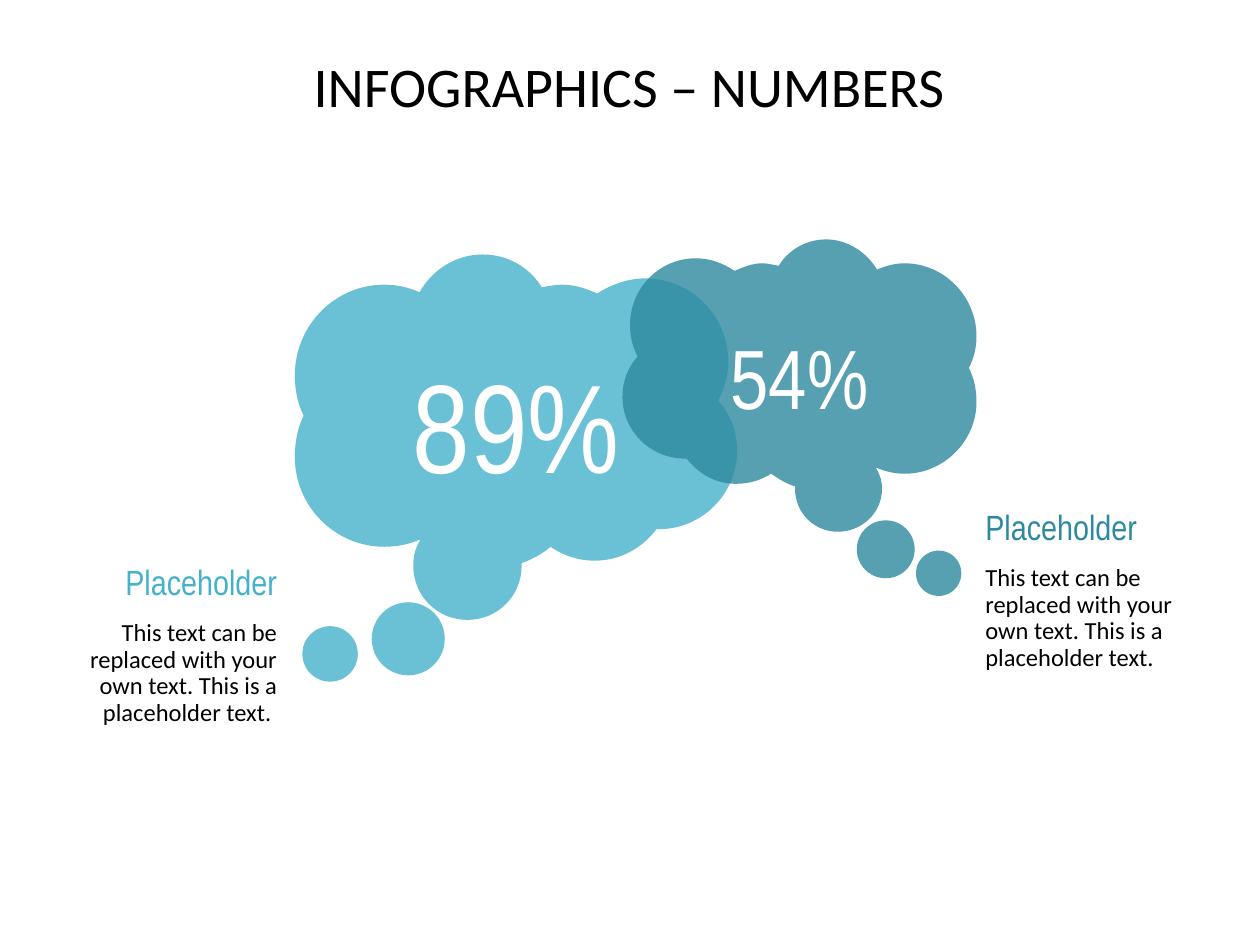
from dataclasses import dataclass

from lxml import etree
from pptx import Presentation
from pptx import util as u
from pptx.dml.color import RGBColor
from pptx.enum import shapes, text
from pptx.oxml.ns import qn

SKY, TEAL, BLACK, WHITE = "45B1CB", "2D899F", "000000", "FFFFFF"
NARROW, BODY = "Arial Narrow", "Calibri"
UNITS_PER_INCH = 100

CLOUD_START = (137, 290)
CLOUD_CURVES = [
    (161, 290, 180, 271, 180, 247), (180, 246, 180, 245, 180, 245),
    (188, 242, 196, 238, 203, 232), (213, 239, 225, 243, 238, 243),
    (257, 243, 275, 234, 287, 218), (288, 218, 288, 218, 289, 218),
    (323, 218, 351, 190, 351, 156), (351, 141, 346, 127, 336, 116),
    (341, 106, 344, 96, 344, 85), (344, 48, 314, 19, 278, 19),
    (264, 19, 251, 24, 240, 31), (231, 27, 222, 24, 212, 24),
    (207, 24, 202, 25, 196, 26), (186, 10, 169, 0, 149, 0),
    (128, 0, 109, 12, 99, 30), (90, 26, 81, 24, 71, 24),
    (32, 24, 0, 56, 0, 96), (0, 107, 2, 118, 7, 128),
    (2, 138, 0, 149, 0, 161), (0, 200, 32, 232, 71, 232),
    (81, 232, 91, 230, 100, 226), (96, 232, 94, 239, 94, 247),
    (94, 271, 113, 290, 137, 290),
]


@dataclass(frozen=True)
class Bubble:
    left: float
    top: float
    size: float


@dataclass(frozen=True)
class Thought:
    color: str
    figure: str
    figure_size: int
    left: float
    top: float
    scale: float
    mirrored: bool
    bubbles: tuple[Bubble, ...]
    caption_box: tuple[float, float, float, float]
    caption: str
    align: text.PP_ALIGN


THOUGHTS = [
    Thought(SKY, "89%", 72, 2.34, 2.02, 1, False,
            (Bubble(2.95, 4.78, 0.58), Bubble(2.4, 4.97, 0.44)),
            (0.16, 4.36, 2.24, 1.53),
            "This text can be replaced with your own text. This is a placeholder text. ",
            text.PP_ALIGN.RIGHT),
    Thought(TEAL, "54%", 48, 4.94, 1.9, 0.8, True,
            (Bubble(6.8, 4.13, 0.46), Bubble(7.27, 4.37, 0.36)),
            (7.62, 3.97, 2.19, 1.44),
            "This text can be replaced with your own text. This is a placeholder text.",
            text.PP_ALIGN.LEFT),
]


def rgb(value: str) -> RGBColor:
    return RGBColor.from_string(value)


def paint(shape, color: str) -> None:
    shape.shadow.inherit = False
    shape.line.fill.background()
    shape.fill.solid()
    shape.fill.fore_color.rgb = rgb(color)
    solid = shape._element.spPr.find(qn("a:solidFill"))
    etree.SubElement(solid[0], qn("a:alpha"), val="80000")


def prepare_frame(frame, anchor=text.MSO_ANCHOR.MIDDLE, side: float = 0) -> None:
    frame.word_wrap = True
    frame.vertical_anchor = anchor
    frame.margin_left = frame.margin_right = u.Inches(side)
    frame.margin_top = frame.margin_bottom = 0


def write(paragraph, content: str, *, size: int, font: str, color: str,
          align=text.PP_ALIGN.CENTER, spacing: float = 0.9, after: int = 10) -> None:
    paragraph.alignment = align
    paragraph.line_spacing = spacing
    paragraph.space_before = u.Pt(0)
    paragraph.space_after = u.Pt(after)
    run = paragraph.add_run()
    run.text = content
    run.font.size = u.Pt(size)
    run.font.name = font
    run.font.color.rgb = rgb(color)


def draw_cloud(slide, thought: Thought) -> None:
    width = max(curve[4] for curve in CLOUD_CURVES)

    def place(x: int, y: int) -> tuple[int, int]:
        across = width - x if thought.mirrored else x
        return round(across * thought.scale), round(y * thought.scale)

    builder = slide.shapes.build_freeform(
        *place(*CLOUD_START), scale=u.Inches(1) / UNITS_PER_INCH)
    builder.add_line_segments([place(*curve[4:]) for curve in CLOUD_CURVES])
    cloud = builder.convert_to_shape(u.Inches(thought.left), u.Inches(thought.top))
    segments = list(cloud._element.iter(qn("a:lnTo")))
    for segment, curve in zip(segments, CLOUD_CURVES):
        bezier = etree.Element(qn("a:cubicBezTo"))
        for i in (0, 2, 4):
            x, y = place(*curve[i:i + 2])
            etree.SubElement(bezier, qn("a:pt"), x=str(x), y=str(y))
        segment.getparent().replace(segment, bezier)
    paint(cloud, thought.color)
    prepare_frame(cloud.text_frame)
    write(cloud.text_frame.paragraphs[0], thought.figure, size=thought.figure_size,
          font=NARROW, color=WHITE, spacing=0.8)


def draw_bubble(slide, bubble: Bubble, color: str) -> None:
    circle = slide.shapes.add_shape(
        shapes.MSO_SHAPE.OVAL, u.Inches(bubble.left), u.Inches(bubble.top),
        u.Inches(bubble.size), u.Inches(bubble.size))
    paint(circle, color)


def draw_caption(slide, thought: Thought) -> None:
    frame = slide.shapes.add_textbox(*map(u.Inches, thought.caption_box)).text_frame
    prepare_frame(frame, side=0.2)
    write(frame.paragraphs[0], "Placeholder", size=20, font=NARROW,
          color=thought.color, align=thought.align)
    write(frame.add_paragraph(), thought.caption, size=14, font=BODY,
          color=BLACK, align=thought.align)


def draw_title(slide) -> None:
    frame = slide.shapes.add_textbox(
        u.Inches(0.43), u.Inches(0.47), u.Inches(9.13), u.Inches(1.18)).text_frame
    prepare_frame(frame, anchor=text.MSO_ANCHOR.TOP)
    write(frame.paragraphs[0], "INFOGRAPHICS – NUMBERS", size=32, font=BODY,
          color=BLACK, after=0)


def main() -> None:
    deck = Presentation()
    deck.slide_width, deck.slide_height = u.Inches(10), u.Inches(7.5)
    slide = deck.slides.add_slide(deck.slide_layouts[6])
    draw_title(slide)
    for thought in THOUGHTS:
        for bubble in thought.bubbles:
            draw_bubble(slide, bubble, thought.color)
        draw_cloud(slide, thought)
        draw_caption(slide, thought)
    deck.save("out.pptx")


if __name__ == "__main__":
    main()
